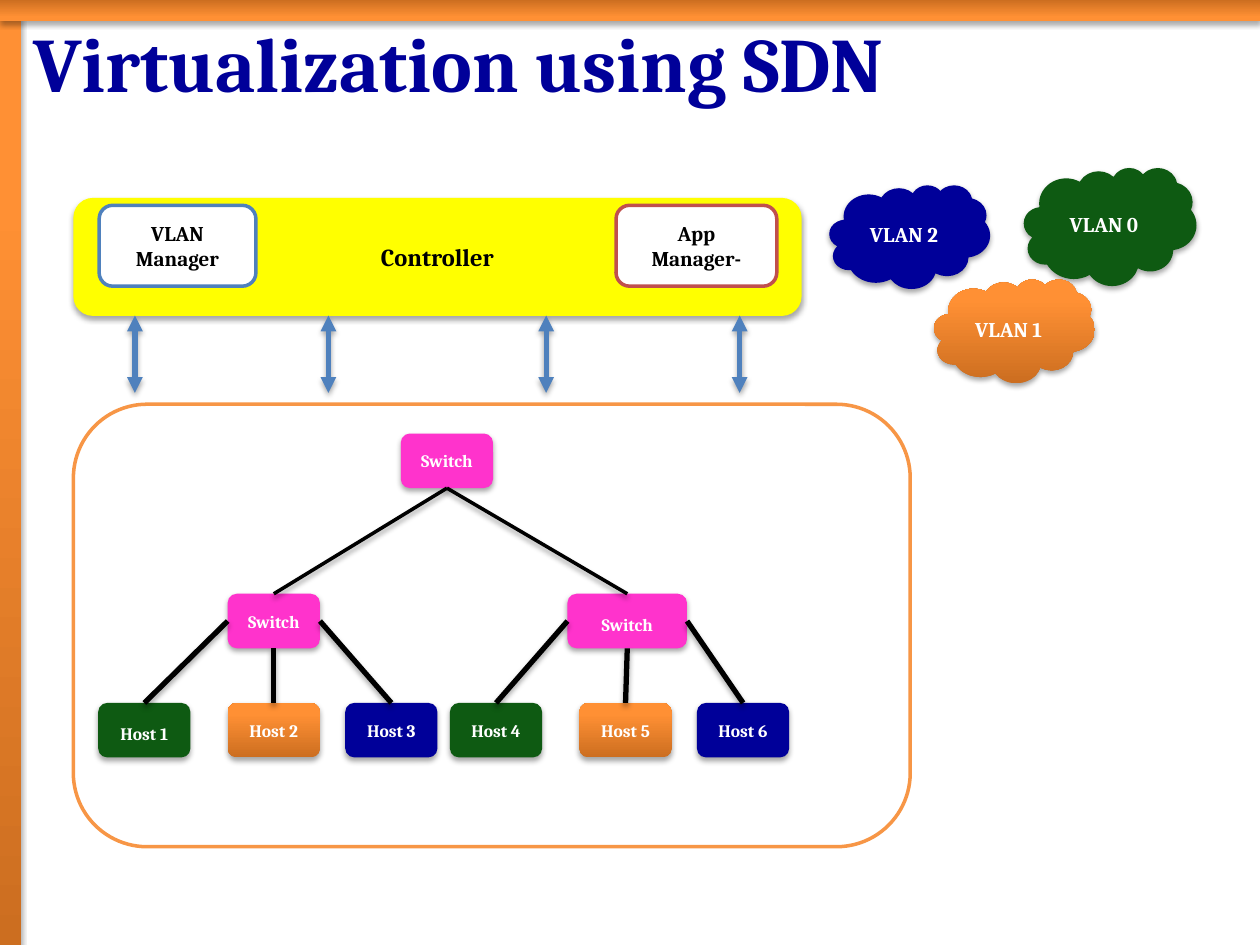
from dataclasses import dataclass

from lxml.etree import SubElement
from pptx import Presentation
from pptx.dml.color import RGBColor
from pptx.enum.shapes import MSO_CONNECTOR, MSO_SHAPE
from pptx.enum.text import MSO_ANCHOR, PP_ALIGN
from pptx.oxml.ns import qn
from pptx.util import Cm, Pt


@dataclass(frozen=True)
class Theme:
    font: str = "Cambria"
    navy: str = "000099"
    green: str = "0E5A12"
    pink: str = "FF33CC"
    yellow: str = "FFFF00"
    white: str = "FFFFFF"
    black: str = "000000"
    blue: str = "4F81BD"
    red: str = "C0504D"
    edge: str = "F79646"
    blend: tuple = ("CC6E20", "FF9034")
    title: int = 44
    head: int = 14
    body: int = 12
    small: int = 10


class Deck:
    def __init__(self, theme):
        self.theme = theme
        self.prs = Presentation()
        self.prs.slide_width, self.prs.slide_height = Cm(25.4), Cm(19.05)
        self.slide = self.prs.slides.add_slide(self.prs.slide_layouts[6])

    def letter(self, item, text, size, color, align=PP_ALIGN.CENTER):
        frame = item.text_frame
        frame.text = text
        frame.word_wrap = True
        frame.vertical_anchor = MSO_ANCHOR.MIDDLE
        line = frame.paragraphs[0]
        line.alignment = align
        for run in line.runs:
            font = run.font
            font.name, font.size, font.bold = self.theme.font, Pt(size), True
            font.color.rgb = RGBColor.from_string(color)

    def paint(self, item, fill, angle=90):
        if fill is None:
            item.fill.background()
        elif isinstance(fill, tuple):
            item.fill.gradient()
            item.fill.gradient_angle = angle
            for stop, color, place in zip(item.fill.gradient_stops, fill, (0, 0.8)):
                stop.color.rgb = RGBColor.from_string(color)
                stop.position = place
        else:
            item.fill.solid()
            item.fill.fore_color.rgb = RGBColor.from_string(fill)

    def shade(self, effects):
        cast = SubElement(effects, qn("a:outerShdw"), blurRad="40000", dist="23000",
                          dir="5400000", rotWithShape="0")
        color = SubElement(cast, qn("a:srgbClr"), val=self.theme.black)
        SubElement(color, qn("a:alpha"), val="35000")

    def shape(self, kind, box, fill=None, edge=None, angle=90):
        item = self.slide.shapes.add_shape(kind, *map(Cm, box))
        self.paint(item, fill, angle)
        item.shadow.inherit = False
        if edge:
            item.line.color.rgb = RGBColor.from_string(edge)
            item.line.width = Pt(2)
        else:
            item.line.fill.background()
            self.shade(item.element.spPr.find(qn("a:effectLst")))
        return item

    def label(self, text, box, fill, size, color=None, edge=None,
              kind=MSO_SHAPE.ROUNDED_RECTANGLE, pad=None):
        item = self.shape(kind, box, fill, edge)
        self.letter(item, text, size, color or self.theme.white)
        if pad:
            frame = item.text_frame
            (frame.margin_left, frame.margin_top,
             frame.margin_right, frame.margin_bottom) = map(Cm, pad)
        return item

    def title(self, text, box):
        item = self.slide.shapes.add_textbox(*map(Cm, box))
        self.letter(item, text, self.theme.title, self.theme.navy, PP_ALIGN.LEFT)

    def line(self, color, width, ends=(0, 0, 0, 0)):
        item = self.slide.shapes.add_connector(MSO_CONNECTOR.STRAIGHT, *map(Cm, ends))
        item.line.color.rgb = RGBColor.from_string(color)
        item.line.width = Pt(width)
        self.shade(SubElement(item.element.spPr, qn("a:effectLst")))
        return item

    def link(self, start, side, end, width):
        item = self.line(self.theme.black, width)
        item.begin_connect(start, side)
        item.end_connect(end, 0)

    def arrow(self, ends):
        item = self.line(self.theme.blue, 3, ends)
        rule = item.element.spPr.find(qn("a:ln"))
        for tip in ("a:headEnd", "a:tailEnd"):
            SubElement(rule, qn(tip), type="triangle")


def main():
    t = Theme()
    deck = Deck(t)
    deck.shape(MSO_SHAPE.RECTANGLE, (0, 0.3, 0.43, 18.75), t.blend)
    deck.shape(MSO_SHAPE.RECTANGLE, (0, 0, 25.4, 0.43), t.blend, angle=270)
    deck.title("Virtualization using SDN", (0.43, 0.13, 24.77, 2.21))

    deck.shape(MSO_SHAPE.ROUNDED_RECTANGLE, (1.48, 8.15, 16.87, 8.92), edge=t.edge)
    deck.label("Controller", (1.48, 3.99, 14.68, 2.38), t.yellow, t.head, t.black)
    for text, left, wide, edge in (("VLAN Manager", 2, 3.16, t.blue),
                                   ("App Manager-", 12.42, 3.24, t.red)):
        deck.label(text, (left, 4.14, wide, 1.63), t.white, t.body, t.black, edge)
    for x in (2.72, 6.62, 11.01, 14.91):
        deck.arrow((x, 7.92, x, 6.36))

    wide, high = 1.86, 1.1
    flat, low = (0, 0, 0, 0), (0.25, 0.13, 0.25, 0)
    root = deck.label("Switch", (8.08, 8.74, wide, high), t.pink, t.small, pad=flat)
    hubs = ((4.59, wide, flat, 1.98), (11.44, 2.41, low, 9.07))
    fills = (t.green, t.blend, t.navy)
    for group, (left, size, pad, start) in enumerate(hubs):
        hub = deck.label("Switch", (left, 11.97, size, high), t.pink, t.small, pad=pad)
        deck.link(root, 2, hub, 2)
        for i, (step, fill) in enumerate(zip((0, 2.61, 4.98), fills)):
            number = group * 3 + i + 1
            host = deck.label(f"Host {number}", (start + step, 14.17, wide, high),
                              fill, t.small, pad=low if number == 1 else None)
            deck.link(hub, i + 1, host, 3)

    clouds = ((20.64, 3.38, 3.48, 2.38), (18.83, 5.63, 3.24, 2.09),
              (16.72, 3.73, 3.24, 2.09))
    for i, (box, fill) in enumerate(zip(clouds, fills)):
        deck.label(f"VLAN {i}", box, fill, t.body, kind=MSO_SHAPE.CLOUD)
    deck.prs.save("out.pptx")


if __name__ == "__main__":
    main()
